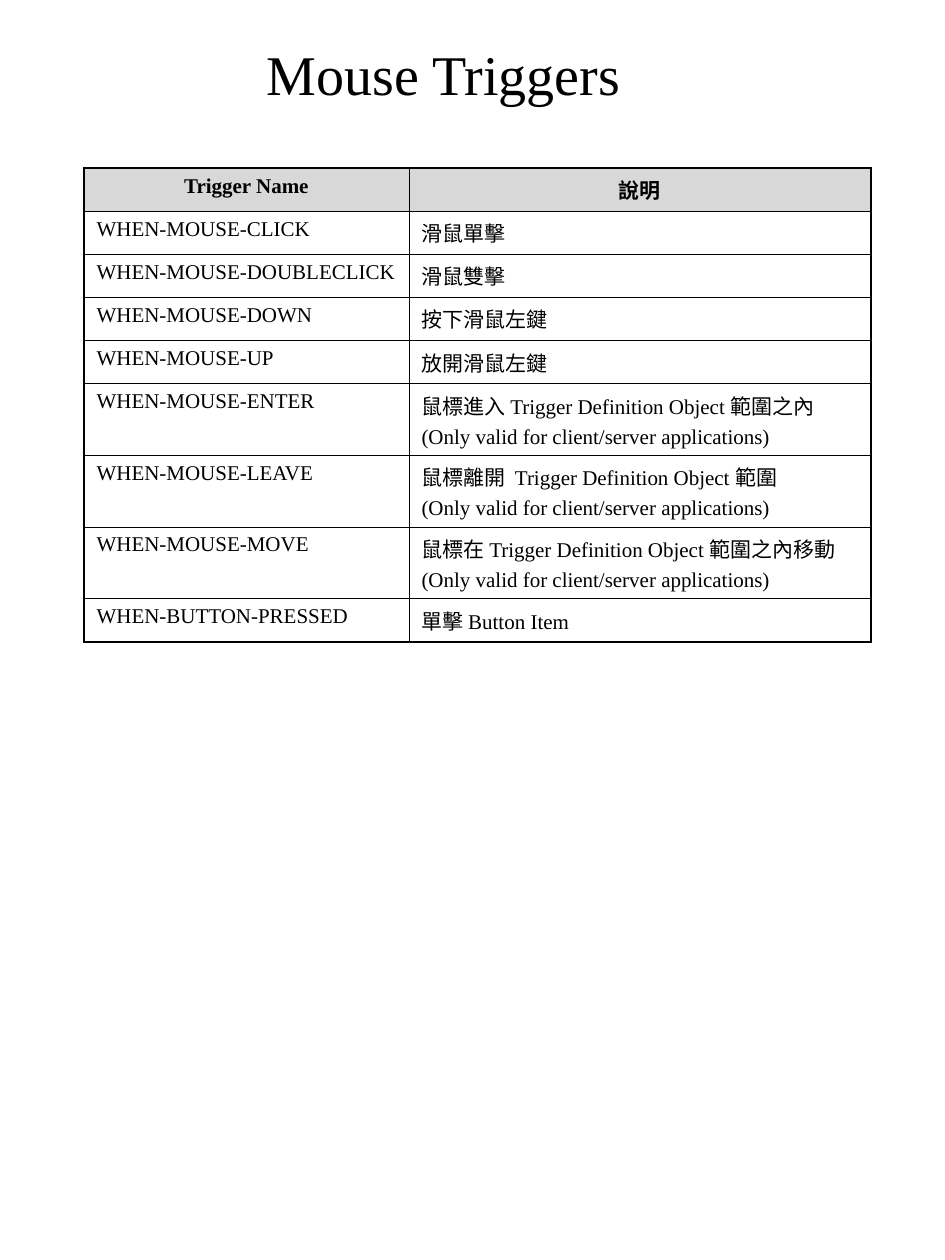
from dataclasses import dataclass

from lxml import etree
from pptx import Presentation
from pptx import util as u
from pptx.dml.color import RGBColor
from pptx.enum import text
from pptx.oxml.ns import qn

PX = 914400 // 126


@dataclass(frozen=True)
class Theme:
    font: str = "Times New Roman"
    ink: RGBColor = RGBColor(0x00, 0x00, 0x00)
    header: RGBColor = RGBColor(0xB2, 0xB2, 0xB2)
    header_alpha: int = 50
    title_size: int = 32
    body_size: int = 12
    line_gap: int = 3
    thin: float = 0.45
    thick: float = 1.08


theme = Theme()


def write(frame, content, size=theme.body_size, bold=False, align=text.PP_ALIGN.LEFT):
    """Fill a text frame with one paragraph for each line of content."""
    for index, line in enumerate(content.split("\n")):
        para = frame.add_paragraph() if index else frame.paragraphs[0]
        para.alignment = align
        para.space_before = u.Pt(theme.line_gap if index else 0)
        span = para.add_run()
        span.text = line
        span.font.name = theme.font
        span.font.size = u.Pt(size)
        span.font.bold = bold
        span.font.color.rgb = theme.ink


def add_border(cell, side, points):
    line = etree.SubElement(cell._tc.get_or_add_tcPr(), qn(f"a:ln{side}"), w=str(u.Pt(points)))
    fill = etree.SubElement(line, qn("a:solidFill"))
    etree.SubElement(fill, qn("a:srgbClr"), val=str(theme.ink))


NOTE = "(Only valid for client/server applications)"
rows = [
    ("Trigger Name", "說明"),
    ("WHEN-MOUSE-CLICK", "滑鼠單擊"),
    ("WHEN-MOUSE-DOUBLECLICK", "滑鼠雙擊"),
    ("WHEN-MOUSE-DOWN", "按下滑鼠左鍵"),
    ("WHEN-MOUSE-UP", "放開滑鼠左鍵"),
    ("WHEN-MOUSE-ENTER", f"鼠標進入 Trigger Definition Object 範圍之內\n{NOTE}"),
    ("WHEN-MOUSE-LEAVE", f"鼠標離開  Trigger Definition Object 範圍\n{NOTE}"),
    ("WHEN-MOUSE-MOVE", f"鼠標在 Trigger Definition Object 範圍之內移動\n{NOTE}"),
    ("WHEN-BUTTON-PRESSED", "單擊 Button Item"),
]
column_widths = [325, 462]
row_heights = [68 if "\n" in description else 38 for _, description in rows]

deck = Presentation()
deck.slide_width = 945 * PX
deck.slide_height = 1260 * PX
page = deck.slides.add_slide(deck.slide_layouts[5])

title = page.shapes.title
title.left, title.top, title.width, title.height = [n * PX for n in (42, 31, 803, 84)]
title.text_frame.auto_size = text.MSO_AUTO_SIZE.NONE
title.text_frame.vertical_anchor = text.MSO_ANCHOR.MIDDLE
write(title.text_frame, "Mouse Triggers", size=theme.title_size, align=text.PP_ALIGN.CENTER)

table = page.shapes.add_table(
    len(rows), len(column_widths), 84 * PX, 168 * PX,
    sum(column_widths) * PX, sum(row_heights) * PX,
).table
table.first_row = True
table.horz_banding = False
for column, width in zip(table.columns, column_widths):
    column.width = width * PX
for row, height in zip(table.rows, row_heights):
    row.height = height * PX

for r, values in enumerate(rows):
    is_header = r == 0
    for c, value in enumerate(values):
        cell = table.cell(r, c)
        outer_edges = {
            "L": c == 0,
            "R": c == len(column_widths) - 1,
            "T": is_header,
            "B": r == len(rows) - 1,
        }
        for side, is_outer in outer_edges.items():
            add_border(cell, side, theme.thick if is_outer else theme.thin)
        if is_header:
            cell.fill.solid()
            cell.fill.fore_color.rgb = theme.header
            shade = cell._tc.tcPr.find(qn("a:solidFill")).find(qn("a:srgbClr"))
            etree.SubElement(shade, qn("a:alpha"), val=str(theme.header_alpha * 1000))
        else:
            cell.fill.background()
        align = text.PP_ALIGN.CENTER if is_header else text.PP_ALIGN.LEFT
        write(cell.text_frame, value, bold=is_header, align=align)

deck.save("out.pptx")
